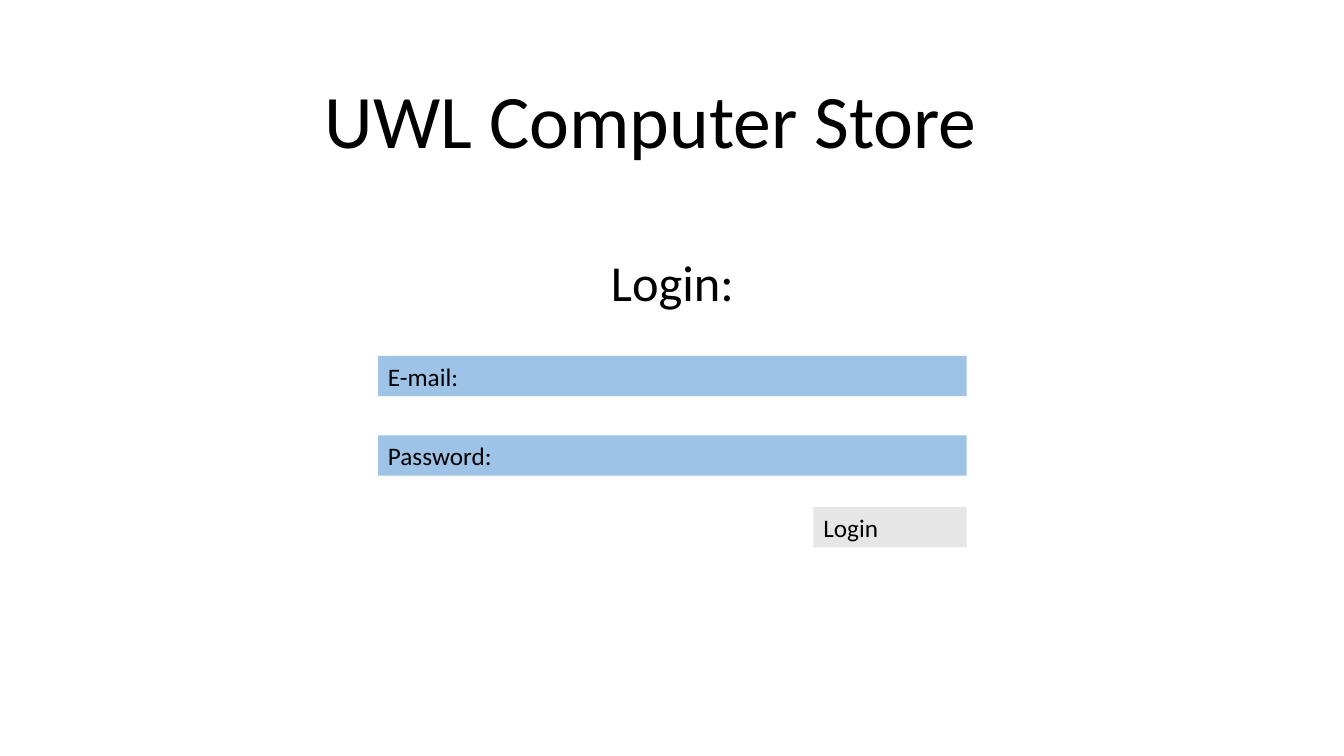
from dataclasses import dataclass

import pptx
import pptx.dml.color
import pptx.enum.shapes
import pptx.enum.text
import pptx.shapes.autoshape
import pptx.slide
import pptx.util

Align = pptx.enum.text.PP_ALIGN


@dataclass(frozen=True)
class Theme:
    font: str = "Calibri"
    ink: str = "000000"
    field_fill: str = "9DC3E6"
    button_fill: str = "E7E6E6"
    title_size: int = 54
    heading_size: int = 36
    label_size: int = 18


@dataclass(frozen=True)
class Area:
    left: float
    top: float
    width: float
    height: float


@dataclass(frozen=True)
class Bar:
    label: str
    area: Area
    fill: str


THEME = Theme()
SLIDE_WIDTH = pptx.util.Inches(13.33)
SLIDE_HEIGHT = pptx.util.Inches(7.5)

TITLE_AREA = Area(10.43, 8.93, 76, 13.47)
HEADING_AREA = Area(36.45, 32.53, 27.15, 9.47)
FORM_LEFT, FORM_TOP, FORM_WIDTH = 28.13, 47.07, 43.8
BAR_HEIGHT, FIELD_PITCH = 5.33, 10.53
BUTTON_TOP, BUTTON_WIDTH = 67.07, 11.4

FIELDS = [
    Bar(label, Area(FORM_LEFT, FORM_TOP + row * FIELD_PITCH, FORM_WIDTH, BAR_HEIGHT), THEME.field_fill)
    for row, label in enumerate(["E-mail:", "Password:"])
]
BUTTON = Bar(
    "Login",
    Area(FORM_LEFT + FORM_WIDTH - BUTTON_WIDTH, BUTTON_TOP, BUTTON_WIDTH, BAR_HEIGHT),
    THEME.button_fill,
)


def emu(area: Area) -> tuple[int, int, int, int]:
    return (
        round(SLIDE_WIDTH * area.left / 100),
        round(SLIDE_HEIGHT * area.top / 100),
        round(SLIDE_WIDTH * area.width / 100),
        round(SLIDE_HEIGHT * area.height / 100),
    )


def write_text(
    holder: pptx.shapes.autoshape.Shape, text: str, *, size: int, align: Align = Align.LEFT
) -> None:
    frame = holder.text_frame
    frame.text = text
    frame.word_wrap = True
    frame.auto_size = pptx.enum.text.MSO_AUTO_SIZE.SHAPE_TO_FIT_TEXT
    frame.vertical_anchor = pptx.enum.text.MSO_ANCHOR.TOP
    paragraph = frame.paragraphs[0]
    paragraph.alignment = align
    paragraph.font.name = THEME.font
    paragraph.font.size = pptx.util.Pt(size)
    paragraph.font.color.rgb = pptx.dml.color.RGBColor.from_string(THEME.ink)


def draw_bar(slide: pptx.slide.Slide, bar: Bar) -> None:
    box = slide.shapes.add_shape(pptx.enum.shapes.MSO_SHAPE.RECTANGLE, *emu(bar.area))
    box.shadow.inherit = False
    box.fill.solid()
    box.fill.fore_color.rgb = pptx.dml.color.RGBColor.from_string(bar.fill)
    box.line.fill.background()
    write_text(box, bar.label, size=THEME.label_size)


def main() -> None:
    deck = pptx.Presentation()
    deck.slide_width, deck.slide_height = SLIDE_WIDTH, SLIDE_HEIGHT
    slide = deck.slides.add_slide(deck.slide_layouts.get_by_name("Title Only"))

    store_name = slide.shapes.title
    store_name.left, store_name.top, store_name.width, store_name.height = emu(TITLE_AREA)
    write_text(store_name, "UWL Computer Store", size=THEME.title_size, align=Align.CENTER)

    login_heading = slide.shapes.add_textbox(*emu(HEADING_AREA))
    write_text(login_heading, "Login:", size=THEME.heading_size, align=Align.CENTER)

    for bar in [*FIELDS, BUTTON]:
        draw_bar(slide, bar)

    deck.save("out.pptx")


if __name__ == "__main__":
    main()
